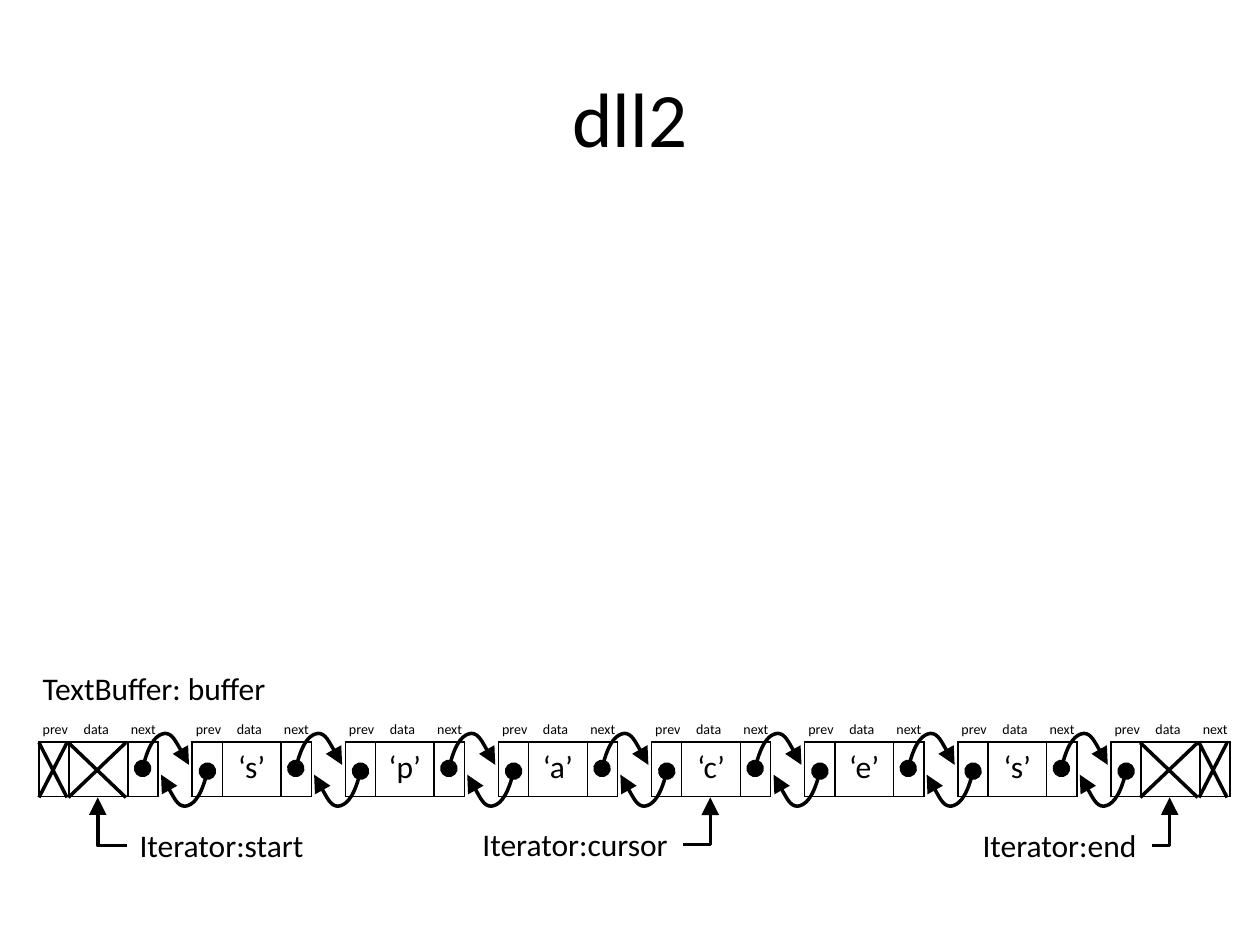
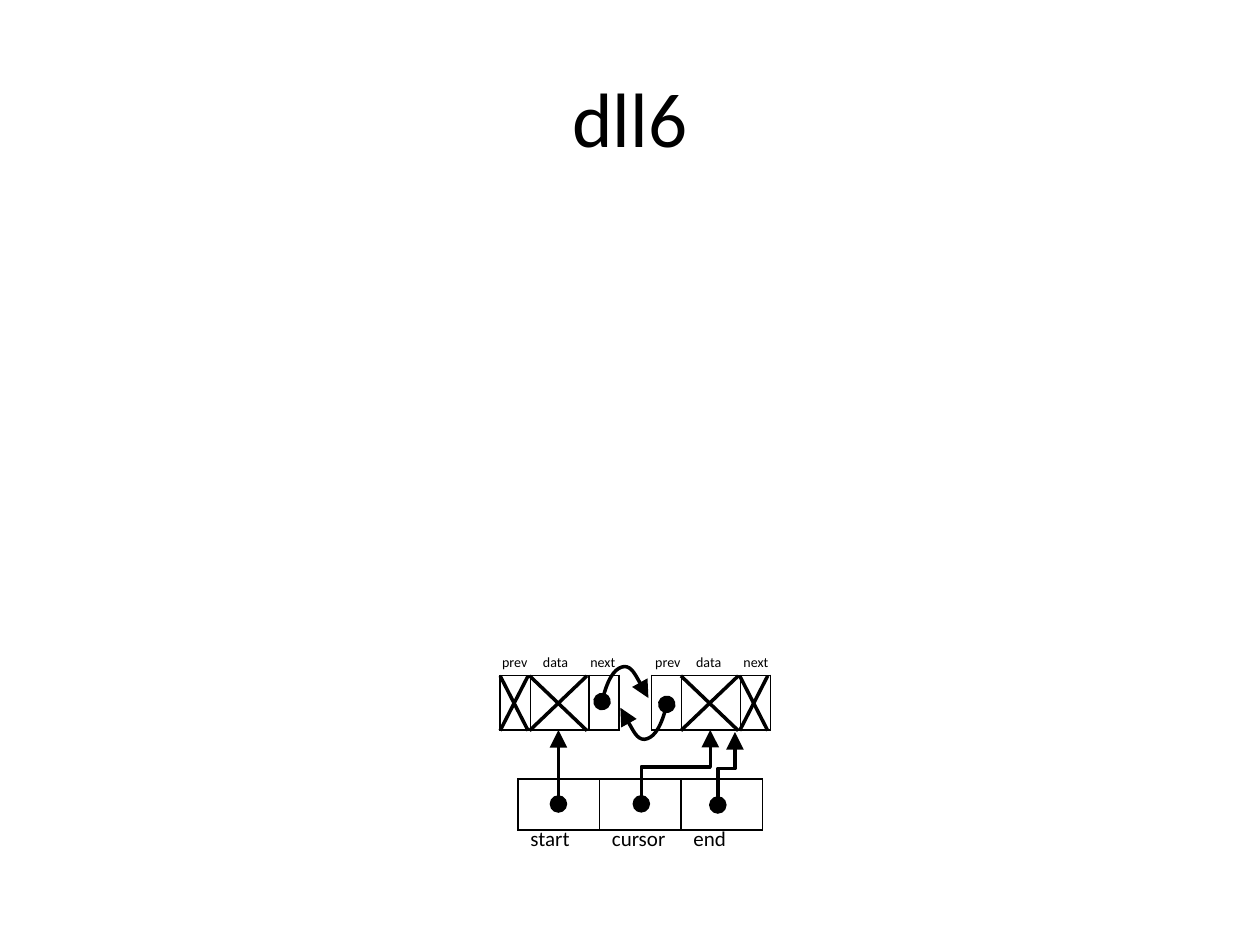
from itertools import accumulate

from lxml import etree
from pptx import Presentation
from pptx.dml.color import RGBColor
from pptx.enum.shapes import MSO_CONNECTOR as Connector
from pptx.enum.text import MSO_ANCHOR as Anchor, MSO_AUTO_SIZE as AutoSize, PP_ALIGN as Align
from pptx.oxml.ns import qn
from pptx.util import Pt

COLORS = {"ink": "000000", "paper": "FFFFFF"}
FONT = "Calibri"
STROKE = 2

CHAIN_LEFT, PITCH = 22.3, 87.5
FIELDS = [16.8, 33.6, 16.8]
FIELD_LEFTS = list(accumulate(FIELDS, initial=0))
PREV, DATA, NEXT = range(3)
NODE_HEIGHT = 31.2
DATA_MIDDLE = 33.6
FIELD_LABELS = [("prev", -5), ("data", 18.4), ("next", 45.4)]

NEXT_LINK = [(59.2, 15), (62.5, 0.7), (67.5, -4.5), (72, -5), (76.3, -5), (83, 7.9), (85.7, 13)]
PREV_LINK = [(155.4 - x, 31.6 - y) for x, y in NEXT_LINK]


def color(name):
    return RGBColor.from_string(COLORS[name])


def node_left(index):
    return CHAIN_LEFT + PITCH * index


def add_run(paragraph, text, size):
    run = paragraph.add_run()
    run.text = text
    run.font.size = Pt(size)
    run.font.name = FONT
    run.font.color.rgb = color("ink")


def add_title(slide, text):
    title = slide.shapes.title
    title.left, title.top, title.width, title.height = Pt(36), Pt(21.6), Pt(648), Pt(90)
    title.text_frame.vertical_anchor = Anchor.MIDDLE
    paragraph = title.text_frame.paragraphs[0]
    paragraph.alignment = Align.CENTER
    add_run(paragraph, text, 44)


def add_label(slide, box, text, size, wrap=False):
    label = slide.shapes.add_textbox(*map(Pt, box))
    label.text_frame.word_wrap = wrap
    label.text_frame.auto_size = AutoSize.SHAPE_TO_FIT_TEXT
    add_run(label.text_frame.paragraphs[0], text, size)


def style_cell(cell, framed):
    if framed:
        cell.fill.solid()
        cell.fill.fore_color.rgb = color("paper")
    else:
        cell.fill.background()
    properties = cell._tc.get_or_add_tcPr()
    for position, side in enumerate(("lnL", "lnR", "lnT", "lnB")):
        border = etree.Element(qn(f"a:{side}"), w=str(Pt(1)))
        if framed:
            fill = etree.SubElement(border, qn("a:solidFill"))
            etree.SubElement(fill, qn("a:srgbClr"), val=COLORS["ink"])
        else:
            etree.SubElement(border, qn("a:noFill"))
        properties.insert(position, border)


def add_cells(slide, left, top, widths, height, texts, size=18, align=Align.CENTER, framed=True):
    frame = slide.shapes.add_table(1, len(widths), Pt(left), Pt(top), Pt(sum(widths)), Pt(height))
    table = frame.table
    table.first_row = table.horz_banding = False
    for column, width, cell, text in zip(table.columns, widths, table.rows[0].cells, texts):
        column.width = Pt(width)
        style_cell(cell, framed)
        if text:
            paragraph = cell.text_frame.paragraphs[0]
            paragraph.alignment = align
            add_run(paragraph, text, size)


def style_line(line, head=None, tail=None):
    line.color.rgb = color("ink")
    line.width = Pt(STROKE)
    ln = line._get_or_add_ln()
    for tag, kind in (("a:headEnd", head), ("a:tailEnd", tail)):
        if kind:
            etree.SubElement(ln, qn(tag), type=kind, w="lg", len="lg")


def add_line(slide, kind, start, end, head=None, tail=None):
    connector = slide.shapes.add_connector(kind, *map(Pt, (*start, *end)))
    style_line(connector.line, head, tail)
    properties = connector._element.spPr
    etree.SubElement(properties, qn("a:effectLst"))
    return properties


def add_corner_arrow(slide, start, end):
    properties = add_line(slide, Connector.ELBOW, start, end, tail="triangle")
    properties.find(qn("a:prstGeom")).set("prst", "bentConnector2")


def add_rising_arrow(slide, start, end):
    middle_x, middle_y = (start[0] + end[0]) / 2, (start[1] + end[1]) / 2
    half_run, half_rise = (end[0] - start[0]) / 2, (start[1] - end[1]) / 2
    properties = add_line(
        slide, Connector.ELBOW,
        (middle_x + half_rise, middle_y + half_run),
        (middle_x - half_rise, middle_y - half_run),
        head="oval", tail="triangle",
    )
    properties.find(qn("a:xfrm")).set("rot", "5400000")


def add_curve(slide, left, top, points):
    places = [(Pt(left + x), Pt(top + y)) for x, y in points]
    builder = slide.shapes.build_freeform(*places[0])
    builder.add_line_segments(places[1:], close=False)
    curve = builder.convert_to_shape()
    segments = list(curve._element.iter(qn("a:lnTo")))
    for first in range(0, len(segments), 3):
        bezier = etree.Element(qn("a:cubicBezTo"))
        segments[first].addprevious(bezier)
        for segment in segments[first:first + 3]:
            bezier.append(segment[0])
            segment.getparent().remove(segment)
    curve.fill.background()
    style_line(curve.line, "oval", "triangle")
    curve.shadow.inherit = False


def add_links(slide, left, top):
    for points in (PREV_LINK, NEXT_LINK):
        add_curve(slide, left, top, points)


def cross_out(slide, left, top, field):
    x1 = left + FIELD_LEFTS[field]
    x2 = x1 + FIELDS[field] - 0.8
    y1, y2 = top + 0.3, top + 31.6
    add_line(slide, Connector.STRAIGHT, (x1, y2), (x2, y1))
    add_line(slide, Connector.STRAIGHT, (x2, y2), (x1, y1))


def add_node(slide, left, top, data="", crossed=(), shift=0):
    add_cells(slide, left + shift, top, FIELDS, NODE_HEIGHT, ("", data, ""))
    for text, offset in FIELD_LABELS:
        add_label(slide, (left + offset, top - 15.8, 29.5, 17), text, 8)
    for field in crossed:
        cross_out(slide, left + shift, top, field)


def add_iterator(slide, box, text, node, top):
    left, box_top, width, height = box
    add_label(slide, box, text, 18)
    target_x = node_left(node) + DATA_MIDDLE
    side = left if target_x < left else left + width
    add_corner_arrow(slide, (side, box_top + height / 2), (target_x, top + 31.6))


def build_buffer_slide(slide, top):
    add_title(slide, "dll2")
    letters = ["", "‘s’", "‘p’", "‘a’", "‘c’", "‘e’", "‘s’", ""]
    last = len(letters) - 1
    crossed = {0: (PREV, DATA), last: (DATA, NEXT)}
    for index, letter in enumerate(letters):
        add_node(slide, node_left(index), top, letter, crossed.get(index, ()))
    for index in range(last):
        add_links(slide, node_left(index), top)
    add_label(slide, (17.3, top - 45.4, 360, 29), "TextBuffer: buffer", 18, wrap=True)
    add_iterator(slide, (72.7, top + 44.6, 113, 29), "Iterator:start", 0, top)
    add_iterator(slide, (268.6, top + 43.9, 121.7, 29), "Iterator:cursor", 4, top)
    add_iterator(slide, (554.4, top + 44.6, 103.7, 29), "Iterator:end", last, top)


def build_empty_list_slide(slide, top):
    add_title(slide, "dll6")
    start_left, end_left = node_left(3), node_left(4)
    pointers_left, pointers_top, pointer_widths = 295.9, top + 59.1, [46.6] * 3
    add_cells(slide, pointers_left, pointers_top, pointer_widths, 29, [""] * 3)
    add_node(slide, start_left, top, crossed=(PREV, DATA), shift=1)
    add_node(slide, end_left, top, crossed=(DATA, NEXT))
    add_links(slide, start_left, top)
    add_cells(slide, pointers_left, pointers_top + 23.8, pointer_widths, 29,
              ("start", "cursor", "end"), size=12, align=Align.LEFT, framed=False)
    dot_y, node_bottom = top + 73.5, top + 31.2
    add_rising_arrow(slide, (319.1, dot_y), (319.1, node_bottom))
    add_rising_arrow(slide, (366.5, dot_y), (end_left + DATA_MIDDLE, node_bottom))
    add_rising_arrow(slide, (410.2, dot_y + 0.6), (420, node_bottom + 1.2))


def main():
    deck = Presentation()
    deck.slide_width, deck.slide_height = Pt(720), Pt(540)
    title_only = deck.slide_layouts[5]
    build_buffer_slide(deck.slides.add_slide(title_only), 424.1)
    build_empty_list_slide(deck.slides.add_slide(title_only), 385.9)
    deck.save("out.pptx")


if __name__ == "__main__":
    main()
